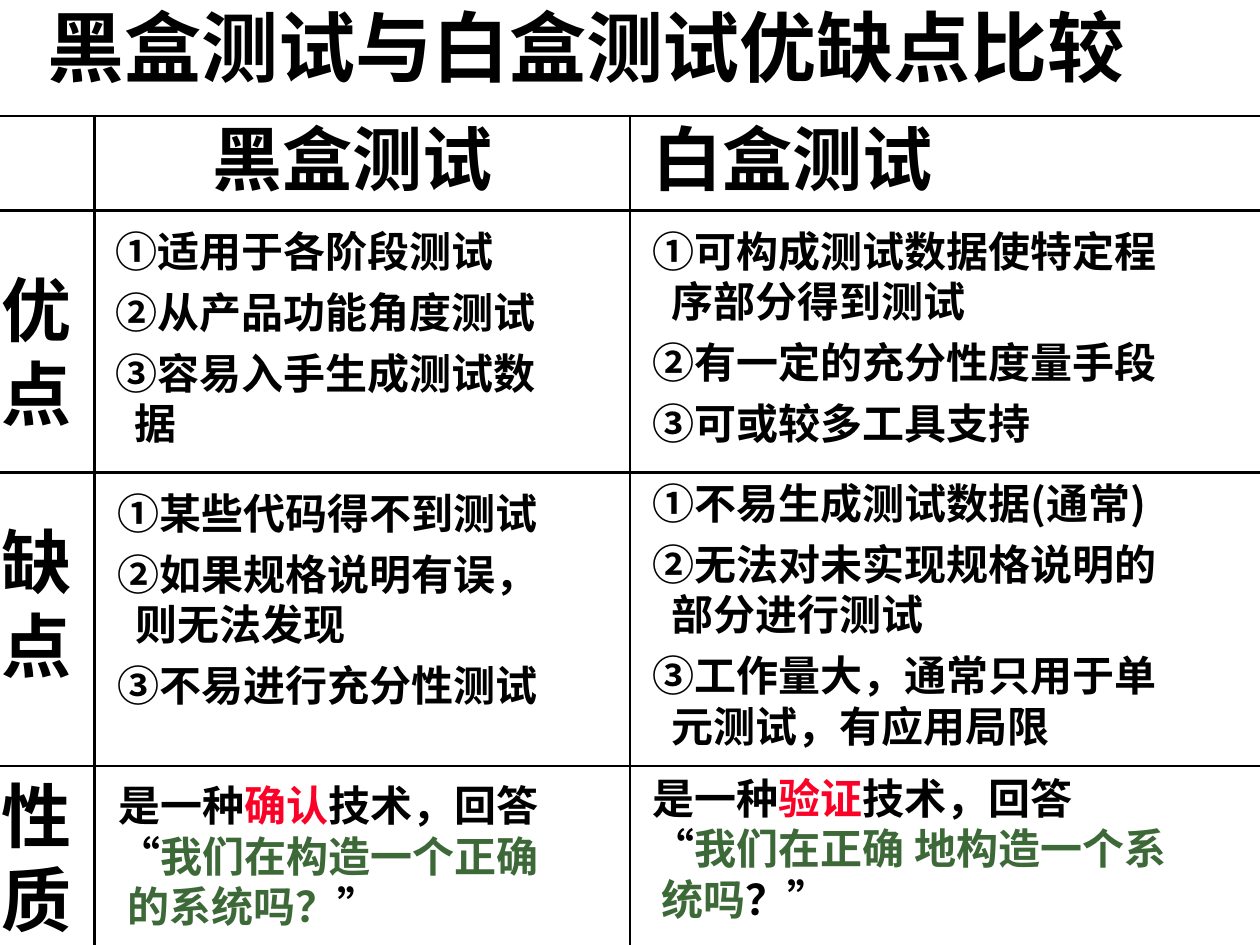
from lxml import etree
from pptx import Presentation
from pptx.dml.color import RGBColor
from pptx.enum.shapes import MSO_CONNECTOR as Connector
from pptx.enum.text import MSO_ANCHOR as Anchor, MSO_AUTO_SIZE as AutoSize, PP_ALIGN as Align
from pptx.oxml.ns import qn
from pptx.util import Pt

WIDTH, HEIGHT = 720, 540
BLACK, RED, GREEN = "000000", "FC0128", "3C6937"
SANS, SERIF = "Noto Sans CJK SC", "Times New Roman"
SPACE = 5.4  # width of one space at 24 pt


def color(value):
    return RGBColor.from_string(value)


class ComparisonSlide:
    def __init__(self, page):
        self.page = page

    def add_span(self, para, text, size, fill=BLACK, font=SANS):
        span = para.add_run()
        span.text = text
        span.font.size = Pt(size)
        span.font.bold = True
        span.font.color.rgb = color(fill)
        span.font.name = font
        east_asian = etree.SubElement(span.font._element, qn("a:ea"))
        east_asian.set("typeface", SANS)

    def add_title(self, text, left, width, height):
        box = self.page.shapes.title
        box.left, box.top, box.width, box.height = Pt(left), Pt(0), Pt(width), Pt(height)
        box.text_frame.vertical_anchor = Anchor.TOP
        box.text_frame.auto_size = AutoSize.NONE
        para = box.text_frame.paragraphs[0]
        para.alignment = Align.LEFT
        para.line_spacing = 0.95
        self.add_span(para, text, 44)

    def add_line(self, x1, y1, x2, y2):
        line = self.page.shapes.add_connector(
            Connector.STRAIGHT, Pt(x1), Pt(y1), Pt(x2), Pt(y2))
        line.line.color.rgb = color(BLACK)
        line.line.width = Pt(1.5)
        etree.SubElement(line._element.spPr, qn("a:effectLst"))

    def add_text(self, left, top, width, height, lines, size=24, spacing=None):
        """Each line is (space before, left indent, spans)."""
        box = self.page.shapes.add_textbox(Pt(left), Pt(top), Pt(width), Pt(height))
        frame = box.text_frame
        frame.word_wrap = True
        for index, (before, indent, spans) in enumerate(lines):
            para = frame.paragraphs[0] if index == 0 else frame.add_paragraph()
            para.line_spacing = spacing
            if before:
                para.space_before = Pt(before)
            if indent:
                para._p.get_or_add_pPr().set("marL", str(Pt(indent)))
            for span in spans:
                self.add_span(para, span[0], size, *span[1:])

    def add_points(self, left, top, width, height, points):
        """Each point is a list of lines; those after the first are indented."""
        lines = []
        for number, point in enumerate(points):
            for row, text in enumerate(point):
                before = 6 if number and row == 0 else 0
                lines.append((before, 2 * SPACE if row else 0, [(text,)]))
        self.add_text(left, top, width, height, lines)

    def add_nature(self, left, top, width, keyword, question, ending):
        self.add_text(left, top, width, 94, [
            (0, 0, [("是一种",), (keyword, RED), ("技术，回答",)]),
            (0, 0, [("“", BLACK, SERIF), (question, GREEN)]),
            (0, SPACE, [*ending, ("”", BLACK, SERIF)]),
        ])


def main():
    deck = Presentation()
    deck.slide_width, deck.slide_height = Pt(WIDTH), Pt(HEIGHT)
    page = deck.slides.add_slide(deck.slide_layouts[5])
    slide = ComparisonSlide(page)

    slide.add_title("黑盒测试与白盒测试优缺点比较", 19.7, 700, 62)

    # Grid rules
    for y in (66.2, 120.2, 270, 437.8):
        slide.add_line(0, y, WIDTH, y)
    for x in (54, 360):
        slide.add_line(x, 66.2, x, HEIGHT)

    # Column headings
    for left, heading in ((114.5, "黑盒测试"), (365.8, "白盒测试")):
        slide.add_text(left, 66.2, 200, 53, [(0, 0, [(heading,)])], 40, 0.95)

    # Row labels, one character a line
    for top, label in ((149, "优点"), (293, "缺点"), (437.8, "性质")):
        slide.add_text(-6, top, 54, 103.7, [(0, 0, [(sign,)]) for sign in label], 40)

    # Advantages
    slide.add_points(59, 125.3, 300, 134.6, [
        ["①适用于各阶段测试"],
        ["②从产品功能角度测试"],
        ["③容易入手生成测试数", "据"],
    ])
    slide.add_points(365.8, 125.3, 354, 134.6, [
        ["①可构成测试数据使特定程", "序部分得到测试"],
        ["②有一定的充分性度量手段"],
        ["③可或较多工具支持"],
    ])

    # Disadvantages
    slide.add_points(59.8, 275, 300, 134.6, [
        ["①某些代码得不到测试"],
        ["②如果规格说明有误，", "则无法发现"],
        ["③不易进行充分性测试"],
    ])
    slide.add_points(365.8, 269.3, 354, 163.4, [
        ["①不易生成测试数据(通常)"],
        ["②无法对未实现规格说明的", "部分进行测试"],
        ["③工作量大，通常只用于单", "元测试，有应用局限"],
    ])

    # Nature
    slide.add_nature(60.5, 442, 290, "确认", "我们在构造一个正确",
                     [("的系统吗？", GREEN)])
    slide.add_nature(365.8, 437.8, 354, "验证", "我们在正确 地构造一个系",
                     [("统吗", GREEN), ("？", BLACK)])

    deck.save("out.pptx")


if __name__ == "__main__":
    main()
